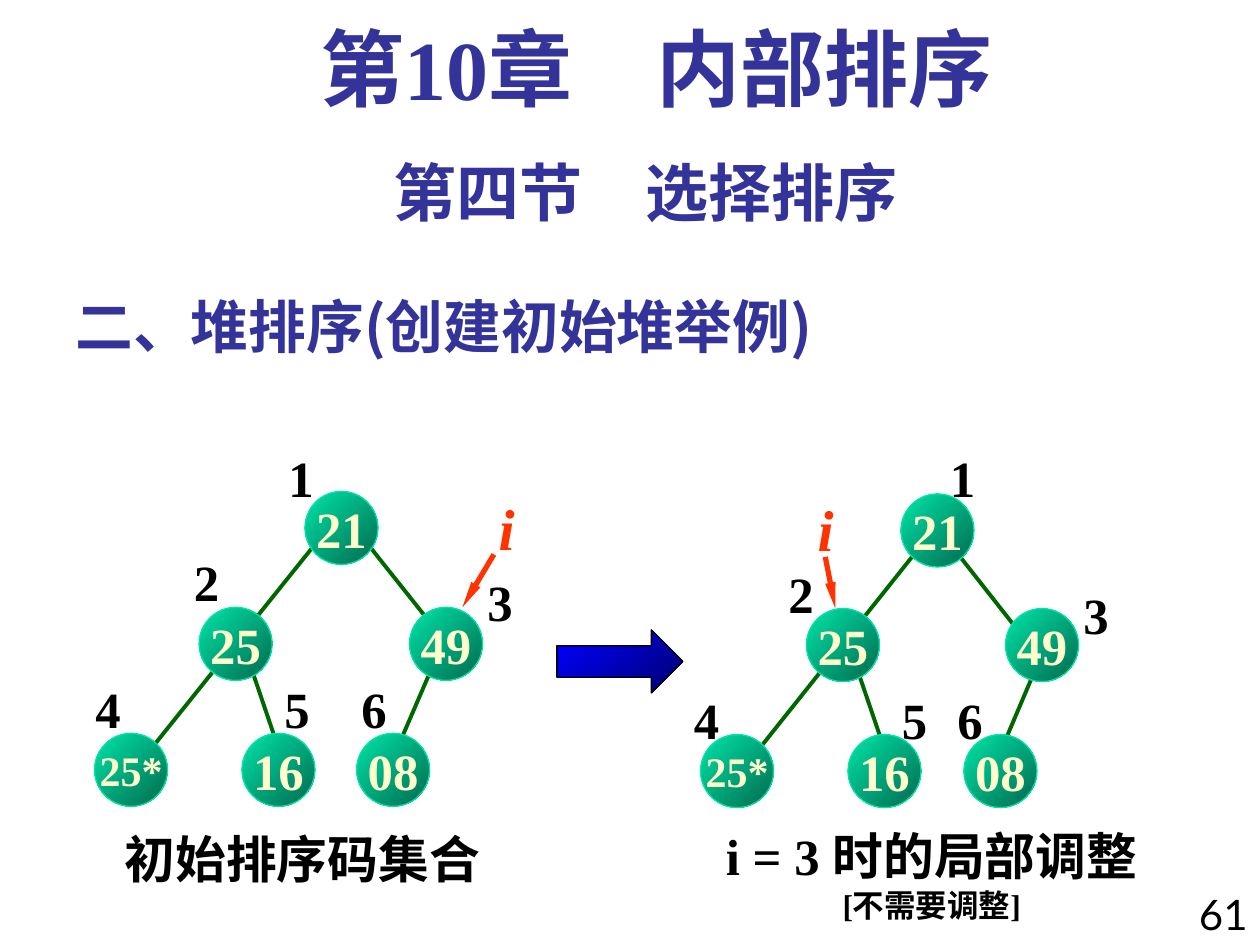
from pptx import Presentation
from pptx.util import Inches, Pt
from pptx.dml.color import RGBColor as RGB
from pptx.enum.shapes import MSO_SHAPE as Shape, MSO_CONNECTOR as Conn
from pptx.enum.text import PP_ALIGN as Align, MSO_ANCHOR as Anchor
from pptx.oxml.ns import qn
from lxml.etree import SubElement as Sub

COL = {"title": "333399", "text": "000000", "edge": "006600", "mark": "FF3300",
       "node": "FFFFCC", "light": "00E4A8", "dark": "006A4E",
       "blue": "0000FF", "navy": "000076"}
SERIF, SANS, CJK = "Times New Roman", "Lato", "Noto Sans CJK SC"

prs = Presentation()
prs.slide_width, prs.slide_height = Inches(10), Inches(7.5)
slide = prs.slides.add_slide(prs.slide_layouts[6])


def write(shape, lines, col, font=SERIF, bold=True, italic=False,
          align=Align.LEFT, anchor=Anchor.TOP, wrap=False):
    frame = shape.text_frame
    frame.word_wrap, frame.vertical_anchor = wrap, anchor
    for n, (text, size) in enumerate(lines):
        para = frame.add_paragraph() if n else frame.paragraphs[0]
        para.alignment = align
        run = para.add_run()
        run.text = text
        face = run.font
        face.name, face.size, face.bold, face.italic = font, Pt(size), bold, italic
        face.color.rgb = RGB.from_string(COL[col])
        Sub(face._element, qn("a:ea")).set("typeface", CJK)


def paint(shape, start, end, line):
    shape.shadow.inherit = False
    shape.fill.gradient()
    shape.fill.gradient_angle = 315
    for stop, col in zip(shape.fill.gradient_stops, (start, end)):
        stop.color.rgb = RGB.from_string(COL[col])
    shape.line.color.rgb = RGB.from_string(COL[line])
    shape.line.width = Pt(0.75)


# Headings and page number
heads = [
    ((0.5, 2.17, 6.25, 0.74), "二、堆排序(创建初始堆举例)", 33, CJK, Align.LEFT, Anchor.BOTTOM),
    ((0.5, 1.17, 9.25, 0.7), "第四节　选择排序", 36, SANS, Align.CENTER, Anchor.TOP),
    ((0.67, 0.17, 9.08, 0.83), "第10章　内部排序", 48, SERIF, Align.CENTER, Anchor.TOP),
]
for at, text, size, font, align, anchor in heads:
    box = slide.shapes.add_textbox(*map(Inches, at))
    write(box, [(text, size)], "title", font, align=align, anchor=anchor, wrap=True)
box.text_frame.paragraphs[0].line_spacing = 0.9

page = slide.shapes.add_textbox(Inches(9.33), Inches(7), Inches(0.67), Inches(0.58))
write(page, [("61", 24)], "text", SANS, bold=False, align=Align.RIGHT, wrap=True)

# Heap trees: nodes and labels in heap order, 1 to 6
keys = ["21", "25", "49", "25*", "16", "08"]
trees = [
    {"nodes": [(2.42, 3.9), (1.58, 4.82), (3.25, 4.82),
               (0.75, 5.82), (1.92, 5.82), (2.83, 5.82)],
     "labels": [(2.19, 3.5), (1.44, 4.32), (3.77, 4.48),
                (0.66, 5.33), (2.16, 5.33), (2.77, 5.33)],
     "edges": [(3.42, 5.32, 3.17, 5.9), (2, 5.32, 2.17, 5.82),
               (2.92, 4.32, 3.58, 5.15), (2.5, 4.32, 1.17, 5.98)],
     "mark": (3.86, 3.86), "arrow": (3.92, 4.4, 3.67, 4.82)},
    {"nodes": [(7.15, 3.92), (6.4, 4.83), (7.98, 4.83),
               (5.56, 5.83), (6.73, 5.83), (7.65, 5.83)],
     "labels": [(7.44, 3.5), (6.16, 4.42), (8.5, 4.58),
                (5.41, 5.42), (7.06, 5.42), (7.5, 5.42)],
     "edges": [(8.21, 5.33, 7.96, 5.92), (7.55, 4.33, 8.21, 5.17),
               (6.81, 5.33, 6.98, 5.83), (7.31, 4.33, 5.98, 6)],
     "mark": (6.39, 3.87), "arrow": (6.55, 4.42, 6.63, 4.83)},
]
for tree in trees:
    group = slide.shapes.add_group_shape().shapes

    # Edges, then the arrow from i
    lines = [(ends, "edge", 2.25) for ends in tree["edges"]]
    lines.append((tree["arrow"], "mark", 3))
    for ends, col, width in lines:
        link = group.add_connector(Conn.STRAIGHT, *map(Inches, ends))
        link.line.color.rgb = RGB.from_string(COL[col])
        link.line.width = Pt(width)
        Sub(link._element.spPr, qn("a:effectLst"))
    tip = Sub(link.line._get_or_add_ln(), qn("a:tailEnd"))
    for name, value in (("type", "triangle"), ("w", "sm"), ("len", "lg")):
        tip.set(name, value)

    # Nodes
    for key, (x, y) in zip(keys, tree["nodes"]):
        node = group.add_shape(Shape.OVAL, Inches(x), Inches(y), Inches(0.58), Inches(0.58))
        paint(node, "light", "dark", "light")
        write(node, [(key, 24 if "*" in key else 29)], "node",
              align=Align.CENTER, anchor=Anchor.MIDDLE)

    # Position numbers and the index i
    for num, (x, y) in enumerate(tree["labels"], 1):
        label = group.add_textbox(Inches(x), Inches(y), Inches(0.4), Inches(0.58))
        write(label, [(str(num), 29)], "text")
    x, y = tree["mark"]
    mark = group.add_textbox(Inches(x), Inches(y), Inches(0.33), Inches(0.65))
    write(mark, [("i", 33)], "mark", italic=True)

# Captions
notes = [((0.89, 6.52, 3.03, 0.58), [("初始排序码集合", 29)], Align.LEFT),
         ((5.61, 6.5, 3.57, 0.88), [("i = 3 时的局部调整", 29), ("[不需要调整]", 18)],
          Align.CENTER)]
for at, rows, align in notes:
    note = slide.shapes.add_textbox(*map(Inches, at))
    write(note, rows, "text", align=align)

# Step arrow
step = slide.shapes.add_shape(Shape.RIGHT_ARROW, Inches(4.42), Inches(5), Inches(1), Inches(0.5))
paint(step, "blue", "navy", "text")

prs.save("out.pptx")
